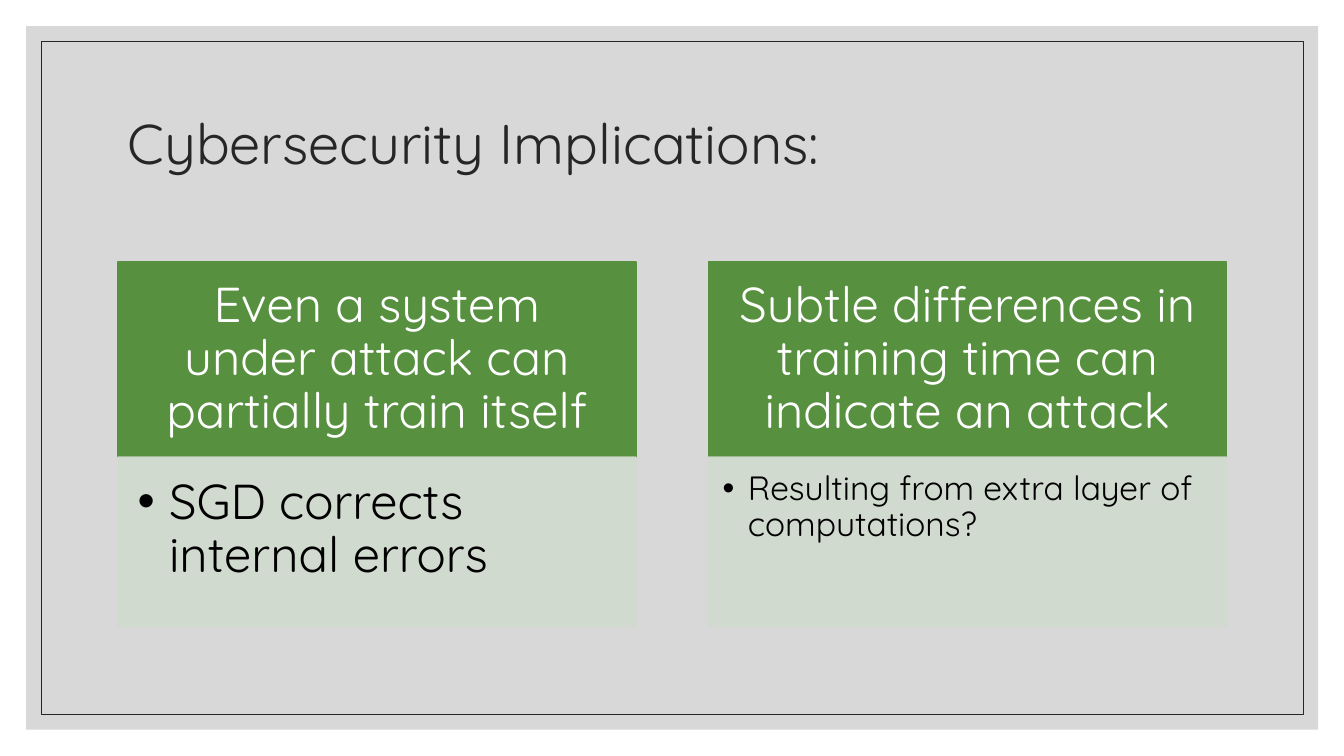
from lxml.etree import SubElement
from pptx import Presentation
from pptx.dml.color import RGBColor
from pptx.enum.shapes import MSO_SHAPE as Shape
from pptx.enum.text import MSO_ANCHOR as Anchor, PP_ALIGN as Align
from pptx.oxml.ns import qn
from pptx.util import Cm, Pt

GREY = RGBColor(0xBF, 0xBF, 0xBF)
INK = RGBColor(0x26, 0x26, 0x26)
GREEN = RGBColor(0x57, 0x90, 0x3F)
MINT = RGBColor(0xD1, 0xDB, 0xCF)
WHITE = RGBColor(0xFF, 0xFF, 0xFF)
BLACK = RGBColor(0x00, 0x00, 0x00)

COLUMN_LEFT, COLUMN_STEP, COLUMN_WIDTH = 2.97, 14.88, 13.06
HEAD_TOP, HEAD_HEIGHT = 6.6, 4.92
BODY_TOP, BODY_HEIGHT = 11.52, 4.27
HEAD_INSETS = (0.69, 0.41, 0.69, 0.41)
COLUMNS = [
    ("Even a system under attack can partially train itself",
     "SGD corrects internal errors", 35, (0.5, 0.5, 0.69, 0.79), 0.79),
    ("Subtle differences in training time can indicate an attack",
     "Resulting from extra layer of computations?", 24, (0.36, 0.36, 0.48, 0.53), 0.64),
]


class SlideBuilder:
    """Draws styled elements on the current slide."""

    def __init__(self, page, font):
        self.page = page
        self.font = font

    def apply(self, target, values):
        for name, value in values.items():
            setattr(target, name, value)

    def paint(self, fill, color, opacity):
        fill.solid()
        fill.fore_color.rgb = color
        if opacity < 100:
            tone = next(fill._xPr.iter(qn("a:srgbClr")))
            SubElement(tone, qn("a:alpha"), val=str(opacity * 1000))

    def panel(self, place, fill=None, line=None, weight=1, opacity=100):
        box = self.page.shapes.add_shape(Shape.RECTANGLE, *map(Cm, place))
        box.shadow.inherit = False
        if fill is None:
            box.fill.background()
        else:
            self.paint(box.fill, fill, opacity)
        if line is None:
            box.line.fill.background()
        else:
            box.line.width = Pt(weight)
            self.paint(box.line.fill, line, opacity)
        return box

    def set_text(self, box, text, size, color, insets, anchor=Anchor.TOP, align=Align.LEFT):
        sides = ("margin_left", "margin_top", "margin_right", "margin_bottom")
        frame = box.text_frame
        self.apply(frame, {"word_wrap": True, "vertical_anchor": anchor,
                           **dict(zip(sides, map(Cm, insets)))})
        para = frame.paragraphs[0]
        self.apply(para, {"alignment": align, "line_spacing": 0.9})
        span = para.add_run()
        span.text = text
        self.apply(span.font, {"name": self.font, "size": Pt(size)})
        span.font.color.rgb = color
        return para

    def title(self, place, text):
        box = self.page.shapes.add_textbox(*map(Cm, place))
        self.set_text(box, text, 40, INK, (0.25, 0.13, 0.25, 0.13), Anchor.MIDDLE)

    def heading(self, place, text):
        box = self.panel(place, GREEN, GREEN)
        self.set_text(box, text, 35, WHITE, HEAD_INSETS, Anchor.MIDDLE, Align.CENTER)

    def bullet(self, place, text, size, insets, indent):
        box = self.panel(place, MINT, MINT, opacity=90)
        para = self.set_text(box, text, size, BLACK, insets)
        layout = para._p.get_or_add_pPr()
        layout.set("marL", str(Cm(indent)))
        layout.set("indent", str(-Cm(indent)))
        SubElement(layout, qn("a:buFont"), typeface="Arial")
        SubElement(layout, qn("a:buChar"), char="•")


def main():
    deck = Presentation()
    deck.slide_width, deck.slide_height = Cm(33.87), Cm(19.05)
    builder = SlideBuilder(deck.slides.add_slide(deck.slide_layouts[6]), "Quicksand")

    builder.panel((0.66, 0.66, 32.56, 17.73), fill=GREY, opacity=60)
    builder.panel((1.04, 1.04, 31.8, 16.97), line=INK, weight=0.5)
    builder.title((2.97, 1.78, 27.94, 3.81), "Cybersecurity Implications:")
    for index, (heading, detail, size, insets, indent) in enumerate(COLUMNS):
        left = COLUMN_LEFT + index * COLUMN_STEP
        builder.heading((left, HEAD_TOP, COLUMN_WIDTH, HEAD_HEIGHT), heading)
        builder.bullet((left, BODY_TOP, COLUMN_WIDTH, BODY_HEIGHT), detail, size, insets, indent)

    deck.save("out.pptx")


if __name__ == "__main__":
    main()
